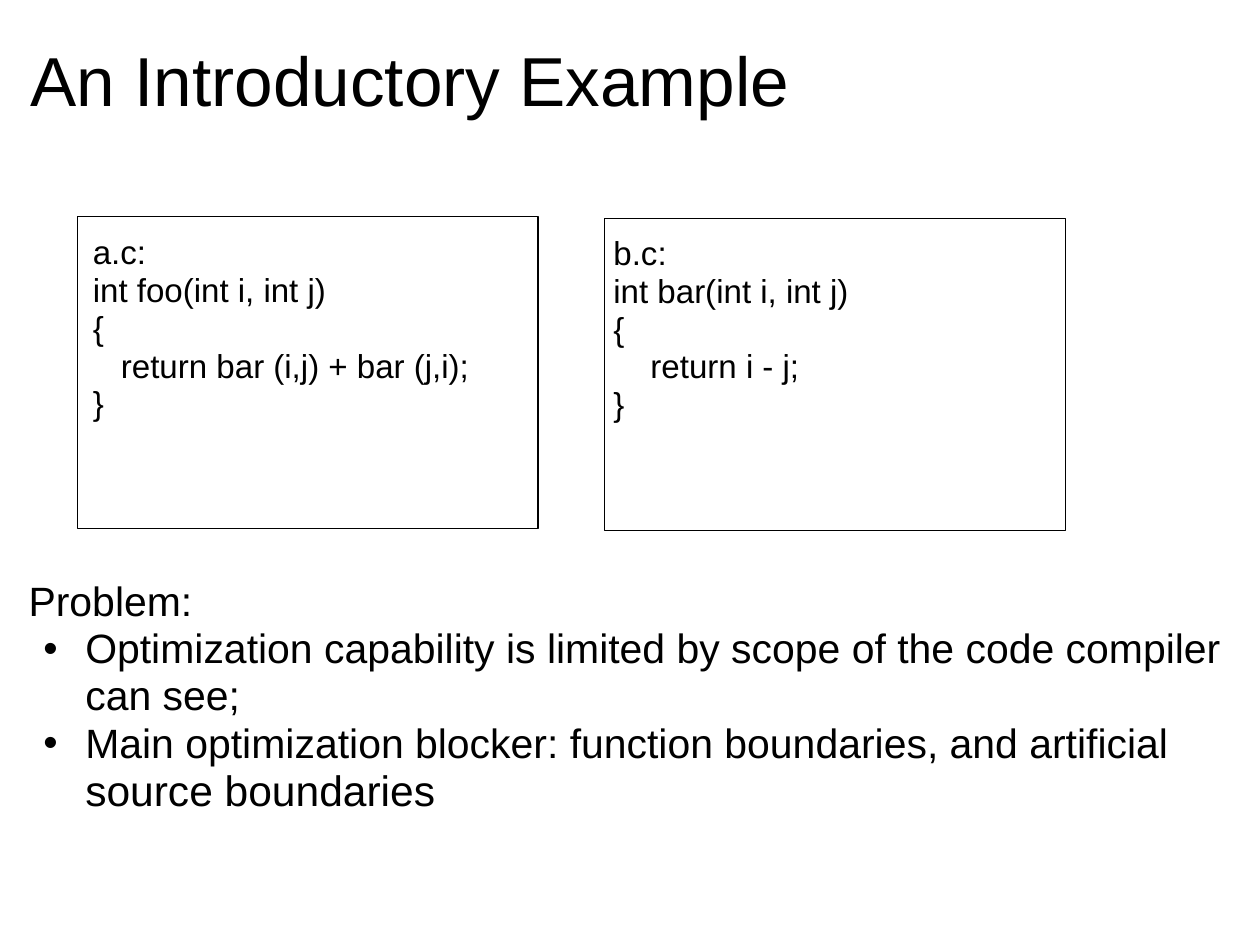
from pptx import Presentation
from pptx.dml.color import RGBColor
from pptx.enum.shapes import MSO_SHAPE
from pptx.enum.text import MSO_ANCHOR, MSO_AUTO_SIZE, PP_ALIGN
from pptx.oxml import parse_xml
from pptx.oxml.ns import nsdecls
from pptx.util import Cm, Pt

RECTANGLE = MSO_SHAPE.RECTANGLE
TOP = MSO_ANCHOR.TOP
LEFT = PP_ALIGN.LEFT
NO_FIT = MSO_AUTO_SIZE.NONE
GROW = MSO_AUTO_SIZE.SHAPE_TO_FIT_TEXT
BLACK, WHITE = "000000", "FFFFFF"


def color(hex_value):
    return RGBColor.from_string(hex_value)


def format_text(frame, size, fit, line_spacing=0.95, margin_top=0):
    """Set plain black Arial, flush left, with no insets but the top one."""
    frame.word_wrap = True
    frame.auto_size = fit
    frame.vertical_anchor = TOP
    frame.margin_left = frame.margin_right = frame.margin_bottom = 0
    frame.margin_top = margin_top
    for paragraph in frame.paragraphs:
        paragraph.alignment = LEFT
        paragraph.line_spacing = line_spacing
        paragraph.space_before = paragraph.space_after = Pt(0)
        for run in paragraph.runs:
            run.font.name = "Arial"
            run.font.size = Pt(size)
            run.font.color.rgb = color(BLACK)


prs = Presentation()
prs.slide_width, prs.slide_height = Cm(28.22), Cm(21.17)
slide = prs.slides.add_slide(prs.slide_layouts[1])

# Title
title = slide.shapes.title
title.left, title.top, title.width, title.height = Cm(0.69), Cm(0.84), Cm(26.85), Cm(2.54)
title.text_frame.text = "An Introductory Example"
format_text(title.text_frame, 44, NO_FIT, line_spacing=1.0)

# Problem statement, set below the code boxes by its top inset
problem = slide.placeholders[1]
problem.left, problem.top, problem.width, problem.height = Cm(0.64), Cm(3.18), Cm(27.66), Cm(17.15)
problem.text_frame.text = "\n".join([
    "Problem:",
    "Optimization capability is limited by scope of the code compiler can see;",
    "Main optimization blocker: function boundaries, and artificial",
])
heading, *points = problem.text_frame.paragraphs
points[-1].add_run().text = " source boundaries"
format_text(problem.text_frame, 26, NO_FIT, margin_top=Cm(9.8))
points[-1].runs[-1].font.size = Pt(27)

# Bullets
heading_props = heading._p.get_or_add_pPr()
heading_props.set("marL", "0")
heading_props.set("indent", "0")
heading_props.append(parse_xml(f"<a:buNone {nsdecls('a')}/>"))
for point in points:
    point.level = 1
    point_props = point._p.get_or_add_pPr()
    point_props.set("marL", str(Cm(1.27)))
    point_props.set("indent", str(Cm(-0.94)))
    for bullet in (f'<a:buClr {nsdecls("a")}><a:srgbClr val="{BLACK}"/></a:buClr>',
                   f'<a:buFont {nsdecls("a")} typeface="Arial"/>',
                   f'<a:buChar {nsdecls("a")} char="•"/>'):
        point_props.append(parse_xml(bullet))

# Source files: box left and top, code left, top and width, body indent, lines
source_files = [
    (1.73, 4.85, 2.08, 5.26, 9.47, 0.63,
     ["a.c:", "int foo(int i, int j)", "{", "return bar (i,j) + bar (j,i);", "}"]),
    (13.54, 4.9, 13.74, 5.28, 9.68, 0.83,
     ["b.c:", "int bar(int i, int j)", "{", "return i - j;", "}"]),
]
for box_left, box_top, code_left, code_top, code_width, indent, lines in source_files:
    box = slide.shapes.add_shape(RECTANGLE, Cm(box_left), Cm(box_top), Cm(10.32), Cm(6.99))
    box.shadow.inherit = False
    box.fill.solid()
    box.fill.fore_color.rgb = color(WHITE)
    box.line.color.rgb = color(BLACK)
    box.line.width = Pt(0.75)

    code = slide.shapes.add_textbox(Cm(code_left), Cm(code_top), Cm(code_width), Cm(4.22))
    code.text_frame.text = "\n".join(lines)
    format_text(code.text_frame, 21, GROW)
    return_line = code.text_frame.paragraphs[3]
    return_line._p.get_or_add_pPr().set("marL", str(Cm(indent)))

prs.save("out.pptx")
